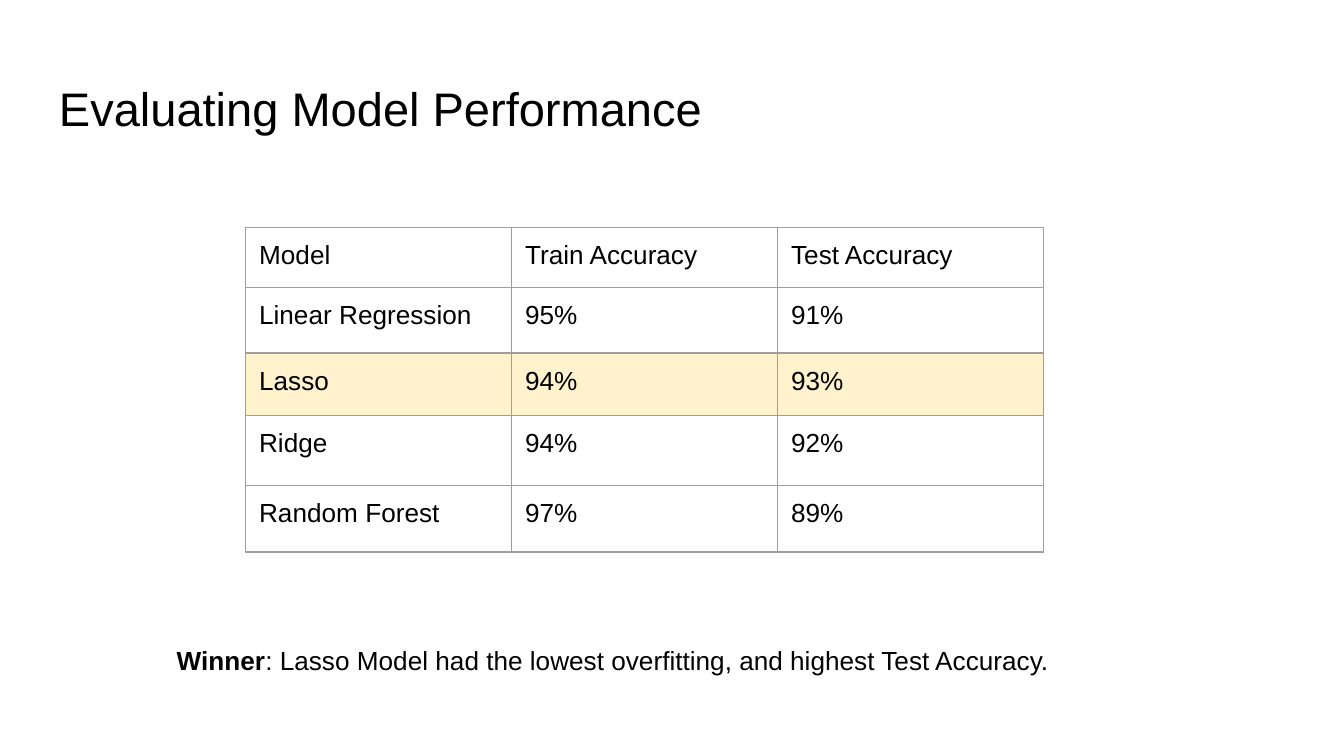
from dataclasses import dataclass

from lxml.etree import SubElement
from pptx import Presentation
from pptx.dml.color import RGBColor
from pptx.enum.text import MSO_ANCHOR
from pptx.oxml.ns import qn
from pptx.util import Pt

BLACK = RGBColor(0x00, 0x00, 0x00)
WHITE = RGBColor(0xFF, 0xFF, 0xFF)
HIGHLIGHT = RGBColor(0xFF, 0xF2, 0xCC)
BORDER = RGBColor(0x9E, 0x9E, 0x9E)
FONT = "Arial"
INSET = Pt(7.2)
COLUMN_WIDTH = Pt(142.5)


@dataclass(frozen=True)
class ModelRow:
    """One line of the accuracy table."""

    values: tuple[str, str, str]
    height: float
    fill: RGBColor | None = None


ROWS = (
    ModelRow(("Model", "Train Accuracy", "Test Accuracy"), 32.2),
    ModelRow(("Linear Regression", "95%", "91%"), 35.2),
    ModelRow(("Lasso", "94%", "93%"), 33.4),
    ModelRow(("Ridge", "94%", "92%"), 37.4),
    ModelRow(("Random Forest", "97%", "89%"), 35.8),
)


def add_text(para, text: str, *, size: float = 14, bold: bool = False) -> None:
    """Append a formatted span to a paragraph."""
    span = para.add_run()
    span.text = text
    span.font.name = FONT
    span.font.size = Pt(size)
    span.font.bold = bold
    span.font.color.rgb = BLACK


def add_box(page, left: float, top: float, width: float, height: float, anchor=MSO_ANCHOR.TOP):
    """Add a wrapped text box and return its first paragraph."""
    box = page.shapes.add_textbox(Pt(left), Pt(top), Pt(width), Pt(height))
    frame = box.text_frame
    frame.word_wrap = True
    frame.vertical_anchor = anchor
    frame.margin_left = frame.margin_right = INSET
    frame.margin_top = frame.margin_bottom = INSET
    return frame.paragraphs[0]


def style_cell(cell, fill: RGBColor | None) -> None:
    """Set the margins, borders and fill of a table cell."""
    cell.margin_left = cell.margin_right = INSET
    cell.margin_top = cell.margin_bottom = INSET
    properties = cell._tc.get_or_add_tcPr()
    for side in ("a:lnL", "a:lnR", "a:lnT", "a:lnB"):
        line = SubElement(properties, qn(side), w=str(Pt(0.75)))
        solid = SubElement(line, qn("a:solidFill"))
        SubElement(solid, qn("a:srgbClr"), val=str(BORDER))
    if fill is None:
        cell.fill.background()
    else:
        cell.fill.solid()
        cell.fill.fore_color.rgb = fill


def add_accuracy_table(page, left: float, top: float, rows: tuple[ModelRow, ...]) -> None:
    """Draw the accuracy table from its rows."""
    columns = len(rows[0].values)
    height = Pt(sum(row.height for row in rows))
    frame = page.shapes.add_table(
        len(rows), columns, Pt(left), Pt(top), COLUMN_WIDTH * columns, height
    )
    table = frame.table
    table.first_row = table.horz_banding = False
    for column in table.columns:
        column.width = COLUMN_WIDTH
    for index, row in enumerate(rows):
        table.rows[index].height = Pt(row.height)
        for cell, value in zip(table.rows[index].cells, row.values):
            style_cell(cell, row.fill)
            add_text(cell.text_frame.paragraphs[0], value)


def main() -> None:
    """Build the model performance page."""
    deck = Presentation()
    deck.slide_width, deck.slide_height = Pt(720), Pt(405)
    page = deck.slides.add_slide(deck.slide_layouts[6])
    page.background.fill.solid()
    page.background.fill.fore_color.rgb = WHITE

    title = add_box(page, 24.5, 35, 671, 45.4, MSO_ANCHOR.MIDDLE)
    add_text(title, "Evaluating Model Performance", size=25.2)

    lasso = ROWS[2]
    highlighted = ModelRow(lasso.values, lasso.height, HIGHLIGHT)
    add_accuracy_table(page, 131.6, 121.8, (*ROWS[:2], highlighted, *ROWS[3:]))

    winner = add_box(page, 87.6, 338, 632.4, 31.7)
    add_text(winner, "Winner", bold=True)
    add_text(winner, ": Lasso Model had the lowest overfitting, and highest Test Accuracy.")

    deck.save("out.pptx")


if __name__ == "__main__":
    main()
